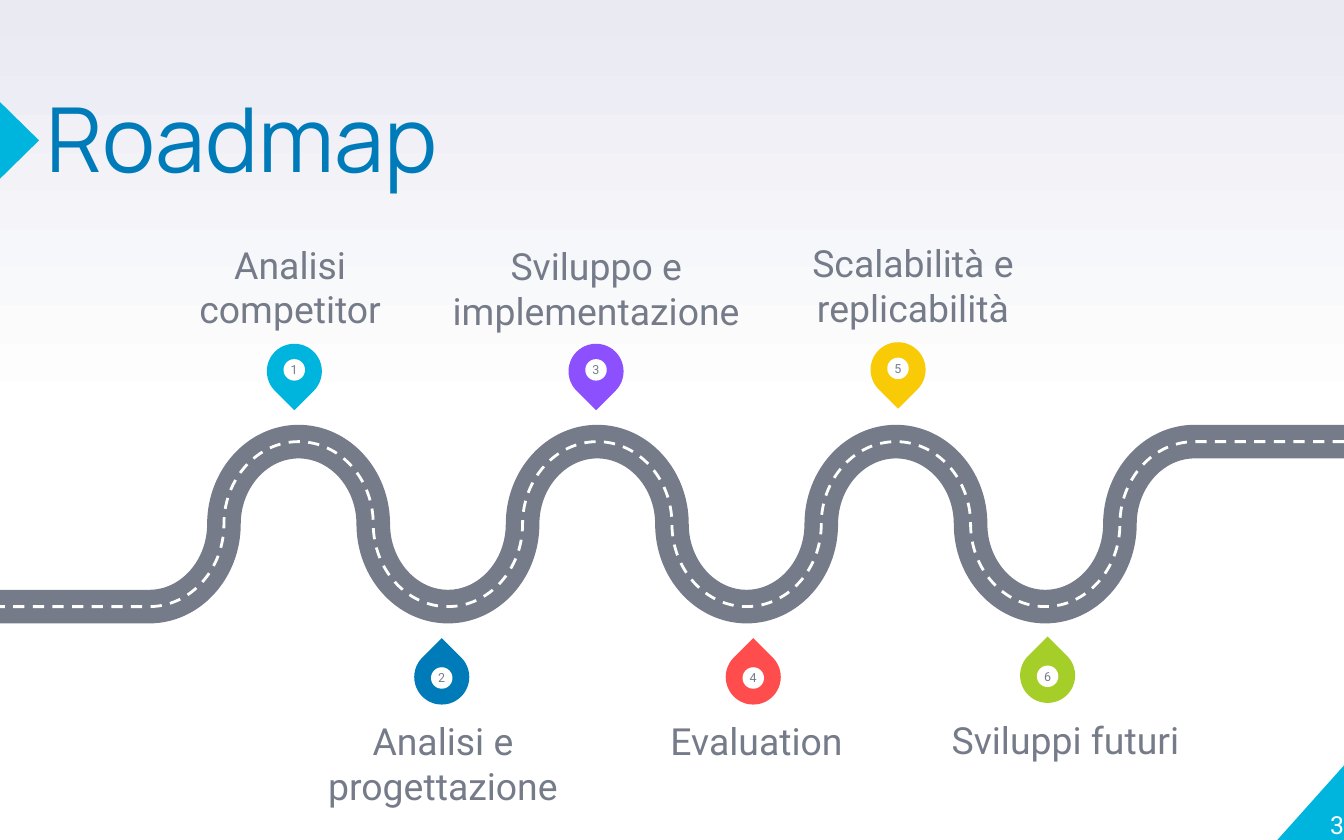
"""Build a roadmap slide: a winding road with six numbered pins and labels."""
from dataclasses import dataclass
from math import cos, pi

from pptx import Presentation
from pptx import util as u
from pptx.dml.color import RGBColor
from pptx.enum import dml, shapes, text
from pptx.oxml import ns, xmlchemy

WIDE, HIGH = u.Inches(10), u.Inches(6.25)
COL = 100 / 18
RISE = 9.82
MID = 62.4
BEND = 0.55
KIND = shapes.MSO_SHAPE


@dataclass(frozen=True)
class Theme:
    """Colours, fonts and type sizes of the slide."""
    cyan: str = "00B5DD"
    blue: str = "007BB9"
    violet: str = "8C50FF"
    red: str = "FF4D4D"
    gold: str = "F9CB07"
    lime: str = "A6CE28"
    grey: str = "757B89"
    white: str = "FFFFFF"
    mist: str = "E9EAF2"
    head: str = "Manrope"
    body: str = "Roboto"
    title: float = 48
    label: float = 20
    page: float = 13.3
    mark: float = 6.7


T = Theme()

STOPS = [
    ("1", "Analisi competitor", T.cyan, 21.9, 44.2, 21.6, 15.6, 29.06),
    ("2", "Analisi e progettazione", T.blue, 32.87, 80.6, 32.97, 20.3, 85.5),
    ("3", "Sviluppo e implementazione", T.violet, 44.35, 44.2, 44.37, 21.6, 29.2),
    ("4", "Evaluation", T.red, 56.05, 80.6, 56.3, 15.6, 85.46),
    ("5", "Scalabilità e replicabilità", T.gold, 66.82, 44.02, 67.94, 20, 28.88),
    ("6", "Sviluppi futuri", T.lime, 77.95, 80.4, 79.28, 18.2, 85.36),
]


def px(share):
    """Turn a percentage of the slide's width into a length."""
    return round(WIDE * share / 100)


def py(share):
    """Turn a percentage of the slide's height into a length."""
    return round(HIGH * share / 100)


def rgb(code):
    """Make a colour from its hex code."""
    return RGBColor.from_string(code)


def paint(host, kind, box, fill, turn=0):
    """Add a plain filled shape."""
    shape = host.add_shape(kind, *box)
    shape.shadow.inherit = False
    shape.fill.solid()
    shape.fill.fore_color.rgb = rgb(fill)
    shape.line.fill.background()
    shape.rotation = turn
    return shape


def write(shape, words, size, color, font=T.body, align="CENTER", anchor="TOP"):
    """Set one paragraph of text without margins."""
    frame = shape.text_frame
    frame.word_wrap = True
    frame.margin_left = frame.margin_right = 0
    frame.margin_top = frame.margin_bottom = 0
    frame.vertical_anchor = text.MSO_ANCHOR[anchor]
    para = frame.paragraphs[0]
    para.text = words
    para.alignment = text.PP_ALIGN[align]
    para.font.size = u.Pt(size)
    para.font.name = font
    para.font.color.rgb = rgb(color)
    return para


def note(slide, box, *args, **style):
    """Add a text box."""
    return write(slide.shapes.add_textbox(*box), *args, **style)


def shade(slide):
    """Fade the background from mist at the top to white at half height."""
    fill = slide.background.fill
    fill.gradient()
    fill.gradient_angle = 90
    for stop, color, place in zip(fill.gradient_stops, (T.white, T.mist), (0.5, 1)):
        stop.color.rgb = rgb(color)
        stop.position = place


def route():
    """List the road's nodes from right to left, one column apart in the bends."""
    bends = [(COL * (16 - step), MID - RISE * cos(step * pi / 2)) for step in range(15)]
    return [(100, MID - RISE), *bends, (0, MID + RISE)]


def curve(shape):
    """Turn the straight steps between the bends into quarter arcs."""
    steps = shape._element.findall(".//" + ns.qn("a:lnTo"))
    nodes = [(int(step[0].get("x")), int(step[0].get("y"))) for step in steps]
    for turn in range(1, 15):
        (x, y), (right, low) = nodes[turn - 1], nodes[turn]
        wide, high = (right - x) * BEND, (low - y) * BEND
        level = turn % 2
        grips = [(x + wide, y) if level else (x, y + high),
                 (right, low - high) if level else (right - wide, low)]
        arc = xmlchemy.OxmlElement("a:cubicBezTo")
        for across, down in (*grips, (right, low)):
            spot = xmlchemy.OxmlElement("a:pt")
            spot.set("x", str(round(across)))
            spot.set("y", str(round(down)))
            arc.append(spot)
        steps[turn].getparent().replace(steps[turn], arc)


def road(slide, color, width, dash=None):
    """Draw one line along the route."""
    points = [(px(x), py(y)) for x, y in route()]
    pen = slide.shapes.build_freeform(*points[0])
    pen.add_line_segments(points[1:], close=False)
    shape = pen.convert_to_shape()
    curve(shape)
    shape.shadow.inherit = False
    shape.fill.background()
    shape.line.color.rgb = rgb(color)
    shape.line.width = u.Pt(width)
    if dash:
        shape.line.dash_style = dash


def pin(slide, mark, fill, x, y, above):
    """Add a numbered pin that points at the road."""
    group = slide.shapes.add_group_shape().shapes
    drop, disc = px(4.1), px(1.6)
    shift = -0.16 if above else 0.12
    paint(group, KIND.TEAR, (px(x) - drop // 2, py(y) - drop // 2, drop, drop),
          fill, 135 if above else 315)
    spot = paint(group, KIND.OVAL,
                 (px(x) - disc // 2, py(y + shift) - disc // 2, disc, disc), T.white)
    write(spot, mark, T.mark, T.grey, anchor="MIDDLE")


def frame(slide):
    """Add the title, its pointer and the page corner."""
    corner = paint(slide.shapes, KIND.RIGHT_TRIANGLE,
                   (px(95), py(90.96), px(5.1), py(9.12)), T.cyan)
    corner._element.spPr.xfrm.set("flipH", "1")
    paint(slide.shapes, KIND.ISOSCELES_TRIANGLE,
          (px(-1.4), py(14.4), px(5.7), py(4.64)), T.cyan, 90)
    title = note(slide, (px(3.46), py(12.32), px(68.5), py(11.84)),
                 "Roadmap", T.title, T.blue, font=T.head, align="LEFT")
    title.line_spacing = 0.8
    note(slide, (px(94.4), py(90.88), px(5.6), py(9.12)),
         "3", T.page, T.white, align="RIGHT", anchor="BOTTOM")


def main():
    """Build and save the slide."""
    deck = Presentation()
    deck.slide_width, deck.slide_height = WIDE, HIGH
    slide = deck.slides.add_slide(deck.slide_layouts[6])
    shade(slide)
    frame(slide)
    road(slide, T.grey, 18)
    road(slide, T.white, 1.5, dml.MSO_LINE.DASH)
    for mark, words, fill, x, y, centre, width, top in STOPS:
        above = y < MID
        pin(slide, mark, fill, x, y, above)
        note(slide, (px(centre - width / 2), py(top), px(width), py(10.4)),
             words, T.label, T.grey, anchor="BOTTOM" if above else "TOP")
    deck.save("out.pptx")


if __name__ == "__main__":
    main()
